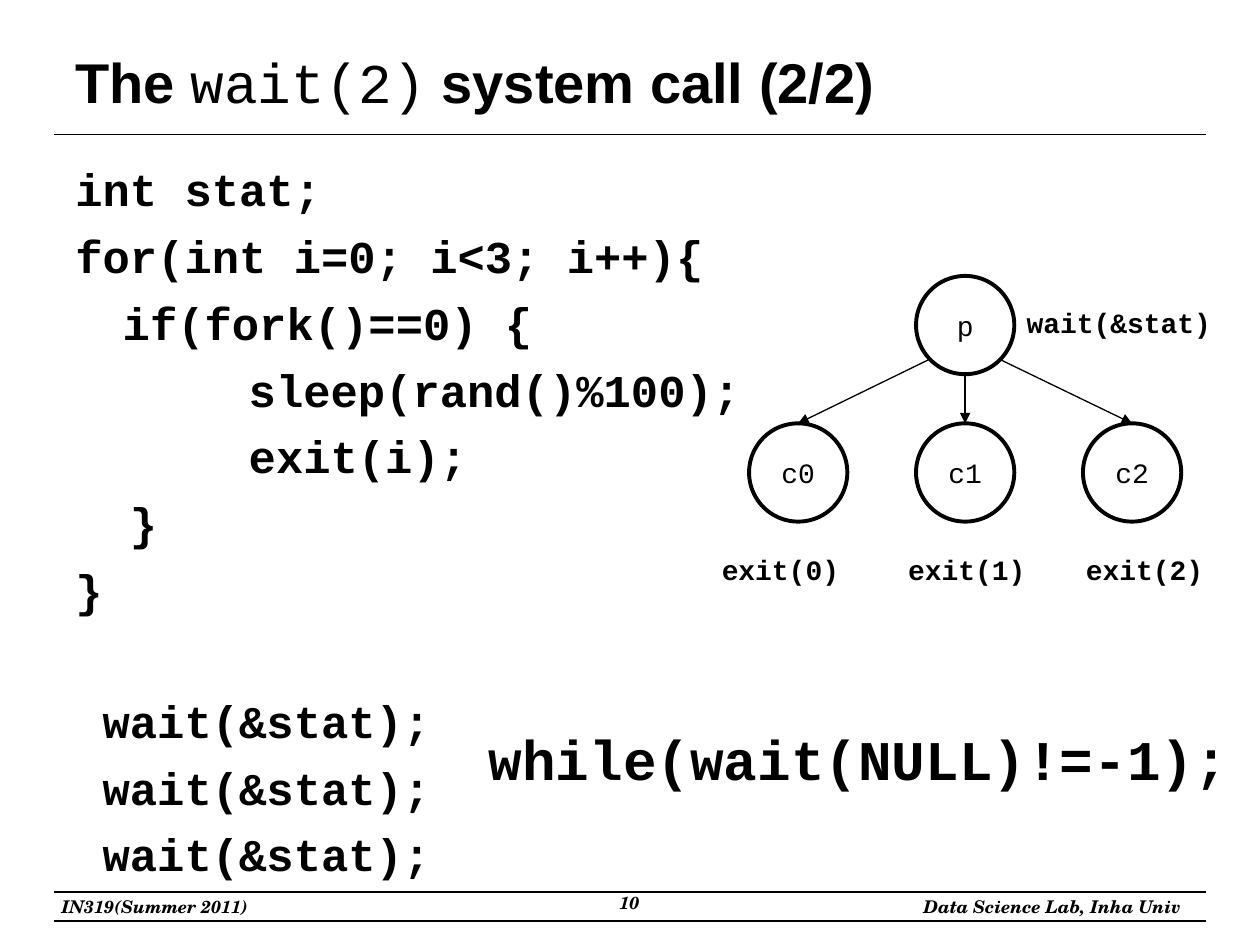
from lxml import etree
from pptx import Presentation
from pptx import util as u
from pptx.dml import color
from pptx.enum import shapes, text
from pptx.oxml import ns

COLUMNS, ROWS = 100, 75
CELL = u.Inches(0.1)
MONO, SANS, SERIF = "Courier New", "Arial", "TeX Gyre Schola"
BLACK = "000000"
LEFT, CENTER, RIGHT = text.PP_ALIGN.LEFT, text.PP_ALIGN.CENTER, text.PP_ALIGN.RIGHT

CODE = [
    ("int stat;", 0, 0),
    ("for(int i=0; i<3; i++){", 0, 7),
    ("if(fork()==0) {", 3.76, 7),
    ("sleep(rand()%100);", 13.76, 7),
    ("exit(i);", 13.76, 7),
    ("  }", 0, 7),
    ("}", 0, 7),
    (" wait(&stat);", 0, 43.5),
    (" wait(&stat);", 0, 7),
    (" wait(&stat);", 0, 7),
]


def cells(count):
    return round(count * CELL)


def rgb(value):
    return color.RGBColor.from_string(value)


def style_run(run, size, font, bold=False, italic=False):
    run.font.size = u.Pt(size)
    run.font.name = font
    run.font.bold = bold
    run.font.italic = italic
    run.font.color.rgb = rgb(BLACK)


def add_box(slide, column, row, width, height, wrap=True):
    shape = slide.shapes.add_textbox(*map(cells, (column, row, width, height)))
    shape.text_frame.word_wrap = wrap
    if not wrap:
        shape.text_frame.auto_size = text.MSO_AUTO_SIZE.SHAPE_TO_FIT_TEXT
    return shape.text_frame


def add_label(slide, words, place, size, font=MONO, align=LEFT, italic=False, wrap=False):
    frame = add_box(slide, *place, wrap=wrap)
    frame.text = words
    paragraph = frame.paragraphs[0]
    paragraph.alignment = align
    style_run(paragraph.runs[0], size, font, True, italic)


def add_title(slide):
    frame = add_box(slide, 5, 3, 90, 6.9)
    frame.vertical_anchor = text.MSO_ANCHOR.MIDDLE
    paragraph = frame.paragraphs[0]
    for words, font, bold in (
        ("The ", SANS, True),
        ("wait(2)", MONO, False),
        (" system call (2/2)", SANS, True),
    ):
        run = paragraph.add_run()
        run.text = words
        style_run(run, 32, font, bold)


def add_code(slide):
    frame = add_box(slide, 5, 12.3, 90, 54.6)
    for number, (words, indent, space) in enumerate(CODE):
        paragraph = frame.add_paragraph() if number else frame.paragraphs[0]
        paragraph.text = words
        paragraph.space_before = u.Pt(space)
        paragraph._p.get_or_add_pPr().set("marL", str(cells(indent)))
        style_run(paragraph.runs[0], 26, MONO, True)


def add_line(slide, start, end, arrow=False):
    line = slide.shapes.add_connector(
        shapes.MSO_CONNECTOR.STRAIGHT, *map(cells, (*start, *end))
    )
    line.line.width = u.Pt(0.75)
    line.line.color.rgb = rgb(BLACK)
    if arrow:
        outline = line.line._get_or_add_ln()
        etree.SubElement(outline, ns.qn("a:tailEnd"), type="triangle")
    etree.SubElement(line._element.spPr, ns.qn("a:effectLst"))


def add_process(slide, name, center, row, diameter):
    place = (center - diameter / 2, row, diameter, diameter)
    shape = slide.shapes.add_shape(shapes.MSO_SHAPE.OVAL, *map(cells, place))
    shape.shadow.inherit = False
    shape.fill.background()
    shape.line.color.rgb = rgb(BLACK)
    shape.line.width = u.Pt(2.25)
    frame = shape.text_frame
    frame.word_wrap = False
    frame.vertical_anchor = text.MSO_ANCHOR.MIDDLE
    frame.text = name
    frame.paragraphs[0].alignment = CENTER
    style_run(frame.paragraphs[0].runs[0], 16, MONO)


def add_process_tree(slide):
    middle, gap, diameter = 76.6, 13.25, 7.8
    parent_row, child_row = 21.9, 33.6
    add_process(slide, "p", middle, parent_row, diameter)
    add_label(slide, "wait(&stat)", (80.5, 23.8, 16.9, 3.7), 16)
    starts = ((73.8, 28.5), (middle, parent_row + diameter), (79.3, 28.5))
    for number, (start, label_column) in enumerate(zip(starts, (56.3, 71.1, 85.2))):
        center = middle + (number - 1) * gap
        add_process(slide, f"c{number}", center, child_row, diameter)
        add_line(slide, start, (center, child_row), arrow=True)
        add_label(slide, f"exit({number})", (label_column, 43.4, 11.5, 3.7), 16)


def add_footer(slide):
    for words, place, align, wrap in (
        ("IN319(Summer 2011)", (3.9, 70.6, 17.3, 2.7), LEFT, False),
        ("10", (38.3, 70.3, 23.3, 3.1), CENTER, True),
        ("Data Science Lab, Inha Univ", (71.6, 70.6, 23.1, 2.7), RIGHT, False),
    ):
        add_label(slide, words, place, 10, SERIF, align, True, wrap)


def main():
    presentation = Presentation()
    presentation.slide_width = cells(COLUMNS)
    presentation.slide_height = cells(ROWS)
    slide = presentation.slides.add_slide(presentation.slide_layouts[6])
    for row in (10.7, 70.8, 73.1):
        add_line(slide, (4.3, row), (COLUMNS - 4.3, row))
    add_footer(slide)
    add_title(slide)
    add_code(slide)
    add_process_tree(slide)
    add_label(slide, "while(wait(NULL)!=-1);", (37.8, 57, 61.4, 6.4), 32)
    presentation.save("out.pptx")


if __name__ == "__main__":
    main()
